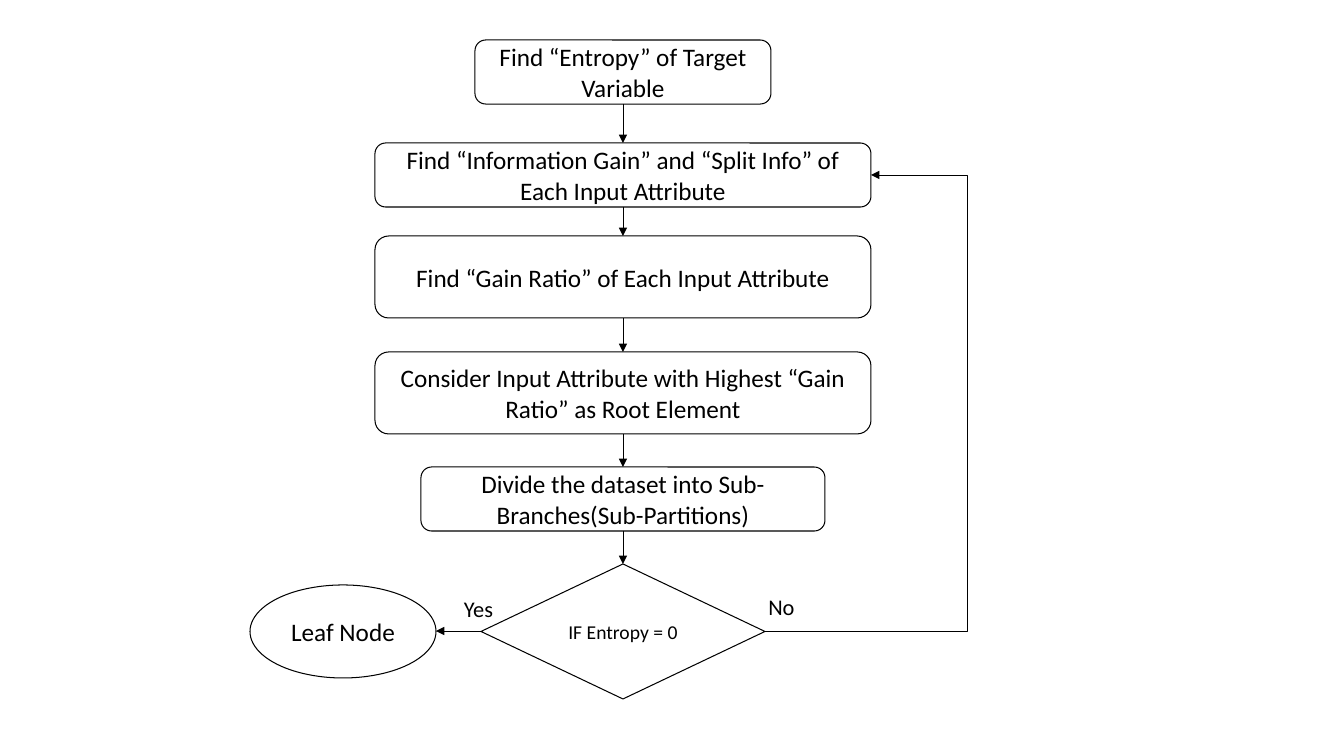
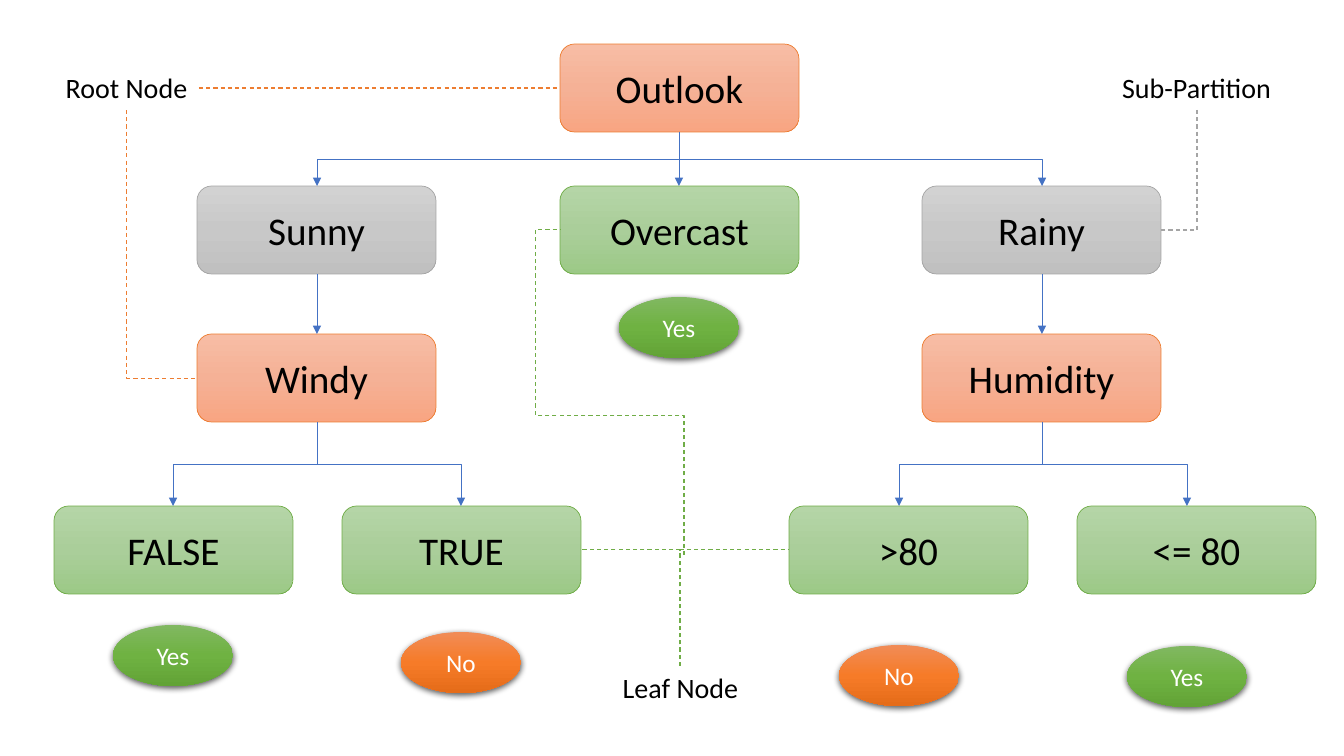
"""Build two slides: a decision tree flowchart and a weather decision tree."""
from copy import deepcopy

from lxml import etree
from pptx import Presentation
from pptx.dml.color import RGBColor
from pptx.enum.dml import MSO_LINE
from pptx.enum.shapes import MSO_CONNECTOR, MSO_SHAPE
from pptx.enum.text import MSO_ANCHOR, MSO_AUTO_SIZE, PP_ALIGN
from pptx.oxml.ns import qn
from pptx.util import Pt

PX = 9071
FONT = "Calibri"
ROUND, OVAL, DECISION = MSO_SHAPE.ROUNDED_RECTANGLE, MSO_SHAPE.OVAL, MSO_SHAPE.FLOWCHART_DECISION
STRAIGHT, ELBOW = MSO_CONNECTOR.STRAIGHT, MSO_CONNECTOR.ELBOW
DASH = MSO_LINE.DASH
MIDDLE, CENTER = MSO_ANCHOR.MIDDLE, PP_ALIGN.CENTER
FIT = MSO_AUTO_SIZE.SHAPE_TO_FIT_TEXT

BLACK = RGBColor(0x00, 0x00, 0x00)
WHITE = RGBColor(0xFF, 0xFF, 0xFF)
BLUE = RGBColor(0x44, 0x72, 0xC4)
ORANGE = RGBColor(0xED, 0x7D, 0x31)
GRAY = RGBColor(0xA5, 0xA5, 0xA5)
GREEN = RGBColor(0x70, 0xAD, 0x47)
SOFT_ORANGE = RGBColor(0xF7, 0xBD, 0xA5), RGBColor(0xF5, 0xB1, 0x96), RGBColor(0xF8, 0xA5, 0x82)
SOFT_GRAY = RGBColor(0xD2, 0xD2, 0xD2), RGBColor(0xC8, 0xC8, 0xC8), RGBColor(0xC0, 0xC0, 0xC0)
SOFT_GREEN = RGBColor(0xB5, 0xD5, 0xA7), RGBColor(0xAA, 0xCE, 0x9A), RGBColor(0x9C, 0xC9, 0x87)
DEEP_GREEN = RGBColor(0x81, 0xB8, 0x61), RGBColor(0x6F, 0xB2, 0x42), RGBColor(0x62, 0xA3, 0x36)
DEEP_ORANGE = RGBColor(0xF1, 0x8C, 0x57), RGBColor(0xF6, 0x7B, 0x28), RGBColor(0xE5, 0x6C, 0x19)


def add_node(s, kind, text, box, size, color=BLACK, line=None, width=0.75, fill=None):
    box = [v * PX for v in box]
    if kind is None:
        sp = s.shapes.add_textbox(*box)
    else:
        sp = s.shapes.add_shape(kind, *box)
        sp.shadow.inherit = False
        if fill:
            sp.fill.gradient()
            sp.fill.gradient_angle = 270
            stops = sp.element.spPr.find(".//" + qn("a:gsLst"))
            stops.insert(1, deepcopy(stops[0]))
            for stop, position, shade in zip(sp.fill.gradient_stops, (0, 0.5, 1), fill):
                stop.position = position
                stop.color.rgb = shade
        else:
            sp.fill.background()
        if line is None:
            sp.line.fill.background()
        else:
            sp.line.color.rgb = line
            sp.line.width = Pt(width)
    tf = sp.text_frame
    tf.text = text
    tf.word_wrap = kind is not None
    if kind is None:
        tf.auto_size = FIT
    else:
        tf.vertical_anchor = MIDDLE
    p = tf.paragraphs[0]
    p.alignment = CENTER
    font = p.runs[0].font
    font.name, font.size, font.color.rgb = FONT, Pt(size), color
    return sp


def add_link(s, x1, y1, x2, y2, color, width=0.5, arrow=True, geom=None, adj=(), upright=True):
    dx, dy = x2 - x1, y2 - y1
    ends = x1, y1, x2, y2
    turned = geom is not None and upright
    if turned:
        left, top = (x1 + x2 - abs(dy)) / 2, (y1 + y2 - abs(dx)) / 2
        ends = left, top, left + abs(dy), top + abs(dx)
    c = s.shapes.add_connector(ELBOW if geom else STRAIGHT, *[int(v * PX) for v in ends])
    spPr = c.element.spPr
    if turned:
        xfrm = spPr.find(qn("a:xfrm"))
        xfrm.set("rot", str((90 if dx * dy < 0 else 270) * 60000))
        xfrm.set("flipH", str(int(dx > 0)))
        xfrm.set("flipV", str(int(dy < 0)))
    if geom:
        outline = spPr.find(qn("a:prstGeom"))
        outline.set("prst", geom)
        for i, value in enumerate(adj, 1):
            etree.SubElement(outline.find(qn("a:avLst")), qn("a:gd"),
                             name=f"adj{i}", fmla=f"val {round(value * 100000)}")
    c.line.color.rgb = color
    c.line.width = Pt(width)
    if arrow:
        etree.SubElement(spPr.find(qn("a:ln")), qn("a:tailEnd"), type="triangle")
    else:
        c.line.dash_style = DASH
    etree.SubElement(spPr, qn("a:effectLst"))


prs = Presentation()
prs.slide_width, prs.slide_height = 1344 * PX, 756 * PX
blank = prs.slide_layouts[6]

s = prs.slides.add_slide(blank)
AXIS = 623
steps = [
    (ROUND, "Find “Entropy” of Target Variable", 40, 296, 64, 18),
    (ROUND, "Find “Information Gain” and “Split Info” of Each Input Attribute", 143, 496, 64, 18),
    (ROUND, "Find “Gain Ratio” of Each Input Attribute", 236, 496, 82, 18),
    (ROUND, "Consider Input Attribute with Highest “Gain Ratio” as Root Element", 352, 496, 82, 18),
    (ROUND, "Divide the dataset into Sub-Branches(Sub-Partitions)", 467, 404, 64, 18),
    (DECISION, "IF Entropy = 0", 564, 284, 135, 14),
]
for kind, text, top, w, h, size in steps:
    add_node(s, kind, text, (AXIS - w // 2, top, w, h), size, line=BLACK)
for step, following in zip(steps, steps[1:]):
    add_link(s, AXIS, step[2] + step[4], AXIS, following[2], BLACK)
add_node(s, OVAL, "Leaf Node", (250, 585, 186, 93), 18, line=BLACK)
add_link(s, 481, 631, 436, 631, BLACK)
add_link(s, 765, 631, 871, 175, BLACK, geom="bentConnector3", adj=(1.91,), upright=False)
add_node(s, None, "Yes", (454, 590, 49, 37), 16)
add_node(s, None, "No", (758, 588, 47, 37), 16)

s = prs.slides.add_slide(blank)
NODE_W, NODE_H = 239, 88
ROWS = 44, 186, 334, 506
LEFT, MID, RIGHT = 317, 679, 1042
for text, left, row, line, fill in [
    ("Outlook", 560, 0, ORANGE, SOFT_ORANGE),
    ("Sunny", 197, 1, GRAY, SOFT_GRAY),
    ("Overcast", 560, 1, GREEN, SOFT_GREEN),
    ("Rainy", 922, 1, GRAY, SOFT_GRAY),
    ("Windy", 197, 2, ORANGE, SOFT_ORANGE),
    ("Humidity", 922, 2, ORANGE, SOFT_ORANGE),
    ("FALSE", 54, 3, GREEN, SOFT_GREEN),
    ("TRUE", 342, 3, GREEN, SOFT_GREEN),
    (">80", 789, 3, GREEN, SOFT_GREEN),
    ("<= 80", 1077, 3, GREEN, SOFT_GREEN),
]:
    add_node(s, ROUND, text, (left, ROWS[row], NODE_W, NODE_H), 28, line=line, width=0.5, fill=fill)

for x1, x2, row in [
    (MID, RIGHT, 0), (MID, LEFT, 0), (MID, MID, 0),
    (LEFT, LEFT, 1), (RIGHT, RIGHT, 1),
    (LEFT, 461, 2), (LEFT, 173, 2), (RIGHT, 1187, 2), (RIGHT, 899, 2),
]:
    add_link(s, x1, ROWS[row] + NODE_H, x2, ROWS[row + 1], BLUE,
             geom=None if x1 == x2 else "bentConnector3")

for text, left, top, fill in [
    ("Yes", 619, 297, DEEP_GREEN),
    ("Yes", 113, 625, DEEP_GREEN),
    ("Yes", 1127, 646, DEEP_GREEN),
    ("No", 401, 632, DEEP_ORANGE),
    ("No", 839, 645, DEEP_ORANGE),
]:
    sp = add_node(s, OVAL, text, (left, top, 120, 61), 18, color=WHITE, fill=fill)
    shadow = etree.SubElement(sp.element.spPr.find(qn("a:effectLst")), qn("a:outerShdw"),
                              blurRad="57150", dist="19050", dir="5400000",
                              algn="ctr", rotWithShape="0")
    shade = etree.SubElement(shadow, qn("a:srgbClr"), val=str(BLACK))
    etree.SubElement(shade, qn("a:alpha"), val="63000")

for text, box in [
    ("Root Node", (55, 66, 143, 44)),
    ("Sub-Partition", (1111, 66, 171, 44)),
    ("Leaf Node", (612, 666, 137, 44)),
]:
    add_node(s, None, text, box, 20)

for ends, color, geom, adj in [
    ((199, 88, 560, 88), ORANGE, None, ()),
    ((127, 110, 197, 378), ORANGE, "bentConnector2", ()),
    ((1197, 110, 1161, 230), GRAY, "bentConnector2", ()),
    ((680, 666, 789, 550), GREEN, "bentConnector2", ()),
    ((680, 666, 581, 550), GREEN, "bentConnector2", ()),
    ((684, 555, 560, 230), GREEN, "bentConnector4", (0.43, 1.2)),
]:
    add_link(s, *ends, color, width=0.75, arrow=False, geom=geom, adj=adj)

prs.save("out.pptx")
